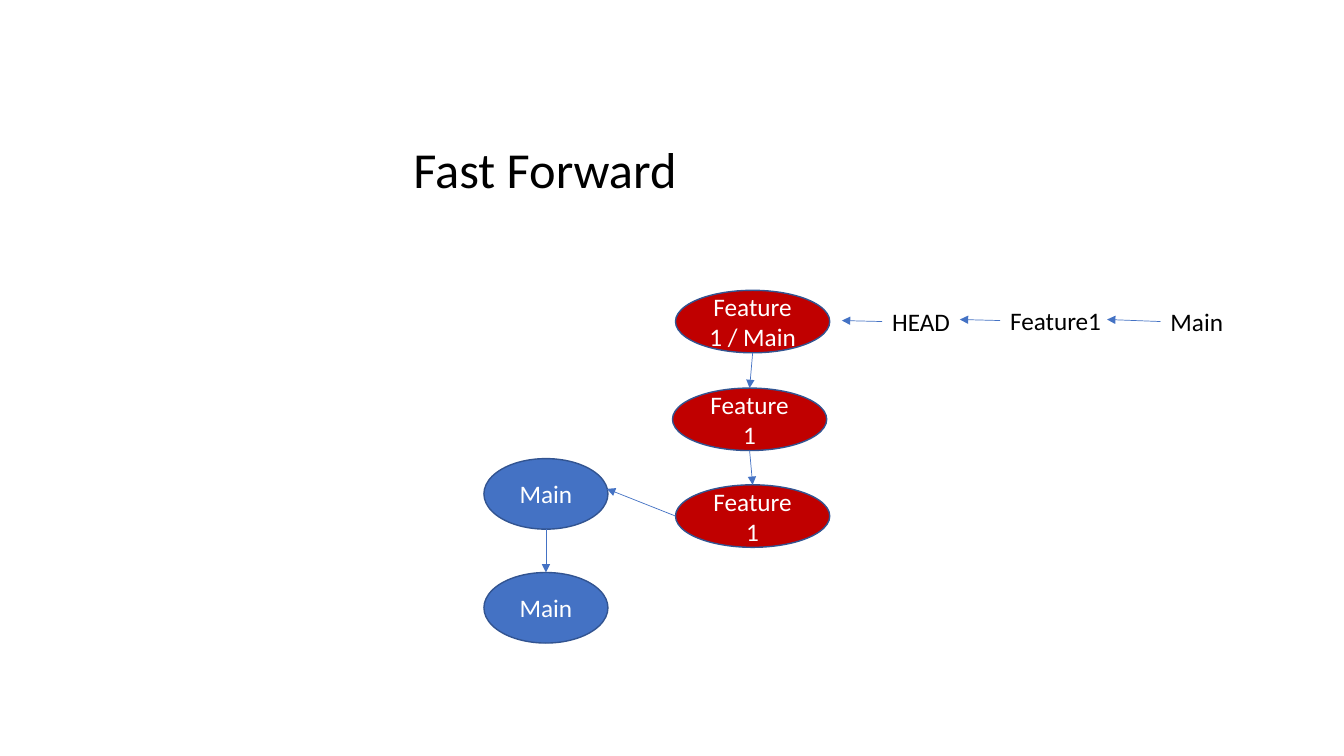
from lxml.etree import SubElement
from pptx import Presentation
from pptx.dml.color import RGBColor
from pptx.enum.shapes import MSO_CONNECTOR as Line, MSO_SHAPE as Shape
from pptx.enum.text import MSO_ANCHOR as Anchor, MSO_AUTO_SIZE as Fit, PP_ALIGN as Align
from pptx.oxml.ns import qn
from pptx.util import Inches, Pt

COLORS = {"main": "4472C4", "feature": "C00000", "edge": "325491",
          "arrow": "4472C4", "light": "FFFFFF", "dark": "000000"}
FONT = "Calibri"
TITLE = "Fast Forward"
SIZES = {"main": (1.23, 0.7), "feature": (1.53, 0.62)}

# key: (text, branch, left, top)
COMMITS = {
    "first": ("Main", "main", 4.8, 5.68),
    "base": ("Main", "main", 4.8, 4.55),
    "start": ("Feature 1", "feature", 6.7, 4.81),
    "next": ("Feature 1", "feature", 6.67, 3.85),
    "tip": ("Feature 1 / Main", "feature", 6.7, 2.88),
}
PARENTS = [("base", "first"), ("next", "start"), ("tip", "next")]
BRANCH = ((6.7, 5.12), (6.02, 4.85))

# text, left, top, width, arrow end
LABELS = [
    ("HEAD", 8.75, 2.99, 0.89, (8.35, 3.18)),
    ("Feature1", 9.92, 2.98, 1.2, (9.52, 3.17)),
    ("Main", 11.51, 2.99, 0.89, (10.98, 3.17)),
]
LABEL_H = 0.4


def rgb(name):
    return RGBColor.from_string(COLORS[name])


def write(shape, text, size, color, align=Align.LEFT):
    shape.text_frame.text = text
    para = shape.text_frame.paragraphs[0]
    para.alignment = align
    para.font.name = FONT
    para.font.size = Pt(size)
    para.font.color.rgb = rgb(color)


def add_commit(slide, text, branch, left, top):
    box = map(Inches, (left, top, *SIZES[branch]))
    oval = slide.shapes.add_shape(Shape.OVAL, *box)
    oval.shadow.inherit = False
    oval.fill.solid()
    oval.fill.fore_color.rgb = rgb(branch)
    oval.line.color.rgb = rgb("edge")
    oval.line.width = Pt(1)
    write(oval, text, 18, "light", Align.CENTER)
    oval.text_frame.vertical_anchor = Anchor.MIDDLE


def add_arrow(slide, start, end):
    ends = map(Inches, (*start, *end))
    arrow = slide.shapes.add_connector(Line.STRAIGHT, *ends)
    arrow.line.color.rgb = rgb("arrow")
    arrow.line.width = Pt(0.5)
    SubElement(arrow.line._get_or_add_ln(), qn("a:tailEnd"), type="triangle")
    SubElement(arrow._element.spPr, qn("a:effectLst"))


def add_label(slide, text, left, top, width, end):
    box = map(Inches, (left, top, width, LABEL_H))
    label = slide.shapes.add_textbox(*box)
    label.text_frame.word_wrap = True
    write(label, text, 18, "dark")
    add_arrow(slide, (left, top + LABEL_H / 2), end)


def add_title(slide):
    title = slide.shapes.title
    title.left, title.top = Inches(4), Inches(1.32)
    title.width, title.height = Inches(2.84), Inches(0.71)
    write(title, TITLE, 36, "dark")
    frame = title.text_frame
    frame.word_wrap = False
    frame.auto_size = Fit.NONE
    frame.vertical_anchor = Anchor.TOP


def main():
    deck = Presentation()
    deck.slide_width, deck.slide_height = Inches(13.33), Inches(7.5)
    slide = deck.slides.add_slide(deck.slide_layouts[5])
    add_title(slide)
    for commit in COMMITS.values():
        add_commit(slide, *commit)
    for child, parent in PARENTS:
        _, kind, left, top = COMMITS[child]
        _, goal, x, y = COMMITS[parent]
        wide, high = SIZES[kind]
        add_arrow(slide, (left + wide / 2, top + high), (x + SIZES[goal][0] / 2, y))
    add_arrow(slide, *BRANCH)
    for label in LABELS:
        add_label(slide, *label)
    deck.save("out.pptx")


if __name__ == "__main__":
    main()
